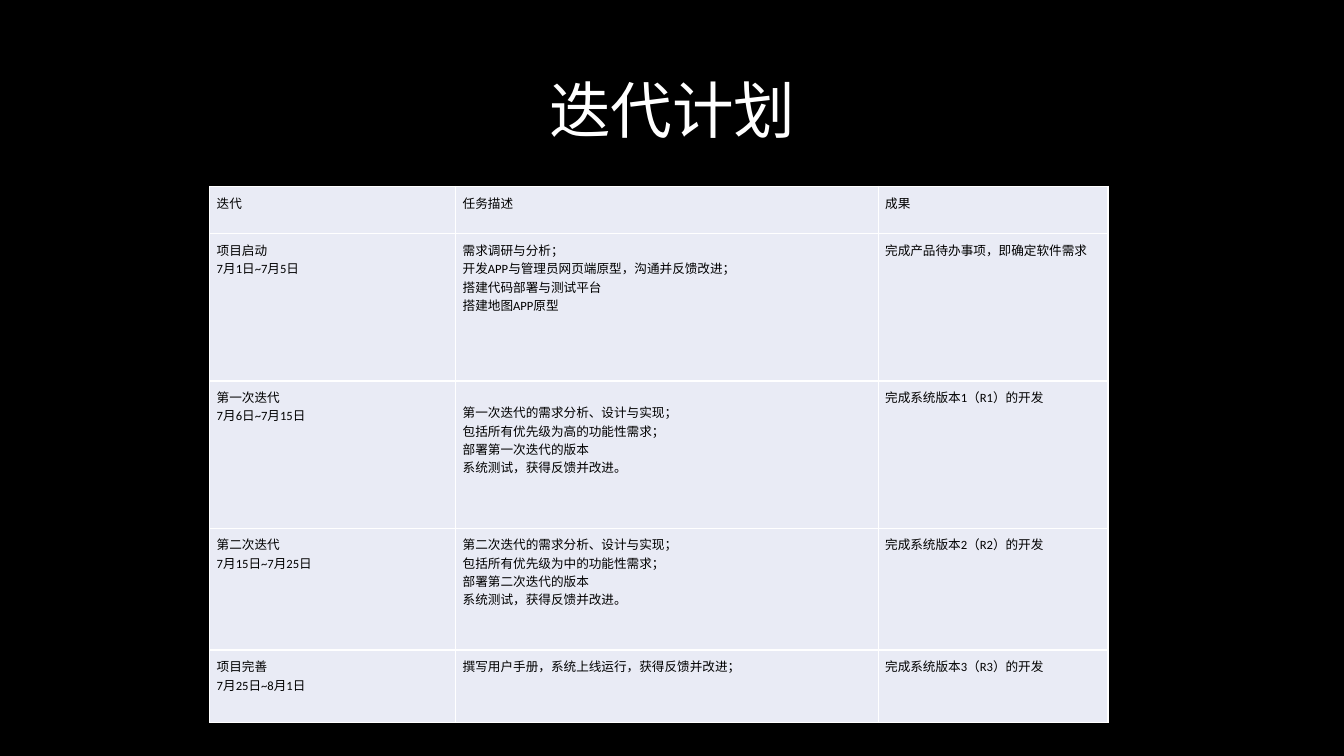
from lxml.etree import SubElement
from pptx import Presentation
from pptx.dml.color import RGBColor
from pptx.enum.text import MSO_ANCHOR, PP_ALIGN
from pptx.oxml import parse_xml
from pptx.oxml.ns import nsdecls, qn
from pptx.util import Inches, Pt

CJK_FONT = "Noto Sans CJK SC"
COLUMN_WIDTHS = [2.44, 4.19, 2.28]
ROW_HEIGHTS = [0.47, 1.46, 1.46, 1.21, 0.72]
CELL_MARGIN = 0.07
FIRST_ITERATION_TASKS = (2, 1)
PLAN = [
    [["迭代"], ["任务描述"], ["成果"]],
    [
        ["项目启动", "7月1日~7月5日"],
        ["需求调研与分析；", "开发APP与管理员网页端原型，沟通并反馈改进；",
         "搭建代码部署与测试平台", "搭建地图APP原型"],
        ["完成产品待办事项，即确定软件需求"],
    ],
    [
        ["第一次迭代", "7月6日~7月15日"],
        ["第一次迭代的需求分析、设计与实现；", "包括所有优先级为高的功能性需求；",
         "部署第一次迭代的版本", "系统测试，获得反馈并改进。"],
        ["完成系统版本1（R1）的开发"],
    ],
    [
        ["第二次迭代", "7月15日~7月25日"],
        ["第二次迭代的需求分析、设计与实现；", "包括所有优先级为中的功能性需求；",
         "部署第二次迭代的版本", "系统测试，获得反馈并改进。"],
        ["完成系统版本2（R2）的开发"],
    ],
    [
        ["项目完善", "7月25日~8月1日"],
        ["撰写用户手册，系统上线运行，获得反馈并改进；"],
        ["完成系统版本3（R3）的开发"],
    ],
]


def paint(fill, color):
    fill.solid()
    fill.fore_color.rgb = RGBColor.from_string(color)


def add_run(paragraph, text, size, font_name, color):
    run = paragraph.add_run()
    run.text = text
    run.font.size = Pt(size)
    run.font.name = font_name
    paint(run.font.fill, color)
    SubElement(run.font._element, qn("a:ea"), typeface=CJK_FONT)


def add_title(slide, text):
    title = slide.shapes.title
    title.left, title.top = Inches(0.92), Inches(0.4)
    title.width, title.height = Inches(11.5), Inches(1.45)
    title.text_frame.vertical_anchor = MSO_ANCHOR.MIDDLE
    heading = title.text_frame.paragraphs[0]
    heading.alignment = PP_ALIGN.CENTER
    heading.line_spacing = 0.9
    add_run(heading, text, 44, CJK_FONT, "FFFFFF")


def add_borders(cell, color):
    properties = cell._tc.get_or_add_tcPr()
    for position, side in enumerate("LRTB"):
        properties.insert(position, parse_xml(
            f'<a:ln{side} {nsdecls("a")} w="{Pt(1)}"><a:solidFill>'
            f'<a:srgbClr val="{color}"/></a:solidFill></a:ln{side}>'))


def fill_cell(cell, lines):
    cell.margin_left = cell.margin_right = Inches(CELL_MARGIN)
    cell.margin_top = cell.margin_bottom = Inches(CELL_MARGIN)
    paint(cell.fill, "E9EBF5")
    add_borders(cell, "FFFFFF")
    frame = cell.text_frame
    for index, line in enumerate(lines):
        paragraph = frame.add_paragraph() if index else frame.paragraphs[0]
        add_run(paragraph, line, 9, "Calibri", "000000")


def add_plan(slide):
    plan = slide.shapes.add_table(
        len(PLAN), len(COLUMN_WIDTHS), Inches(2.08), Inches(1.85),
        Inches(sum(COLUMN_WIDTHS)), Inches(sum(ROW_HEIGHTS))).table
    plan.first_row = plan.horz_banding = False
    for column, width in zip(plan.columns, COLUMN_WIDTHS):
        column.width = Inches(width)
    for row, height, entries in zip(plan.rows, ROW_HEIGHTS, PLAN):
        row.height = Inches(height)
        for cell, lines in zip(row.cells, entries):
            fill_cell(cell, lines)
    plan.cell(*FIRST_ITERATION_TASKS).margin_top = Inches(CELL_MARGIN + 0.15)


def main():
    """Build the iteration plan slide."""
    presentation = Presentation()
    presentation.slide_width = Inches(13.33)
    presentation.slide_height = Inches(7.5)
    slide = presentation.slides.add_slide(presentation.slide_layouts[5])
    paint(slide.background.fill, "000000")
    add_title(slide, "迭代计划")
    add_plan(slide)
    presentation.save("out.pptx")


if __name__ == "__main__":
    main()
